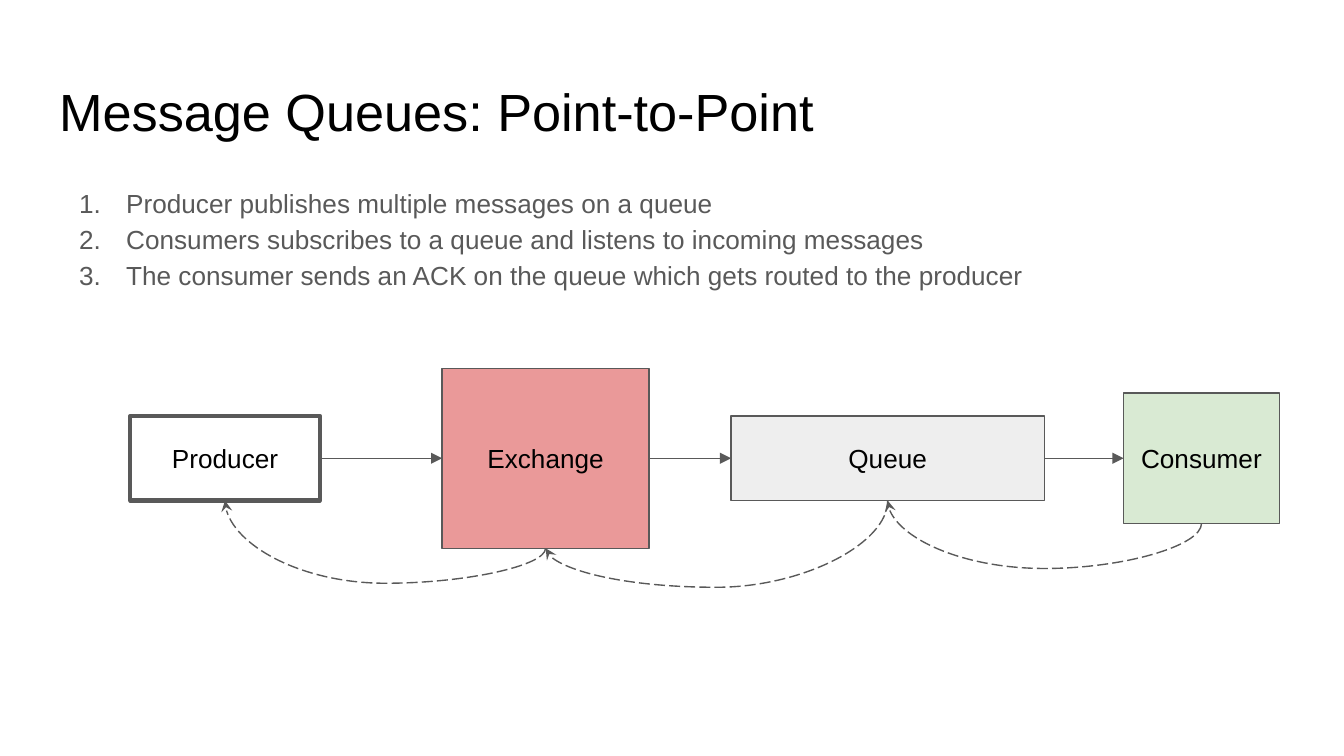
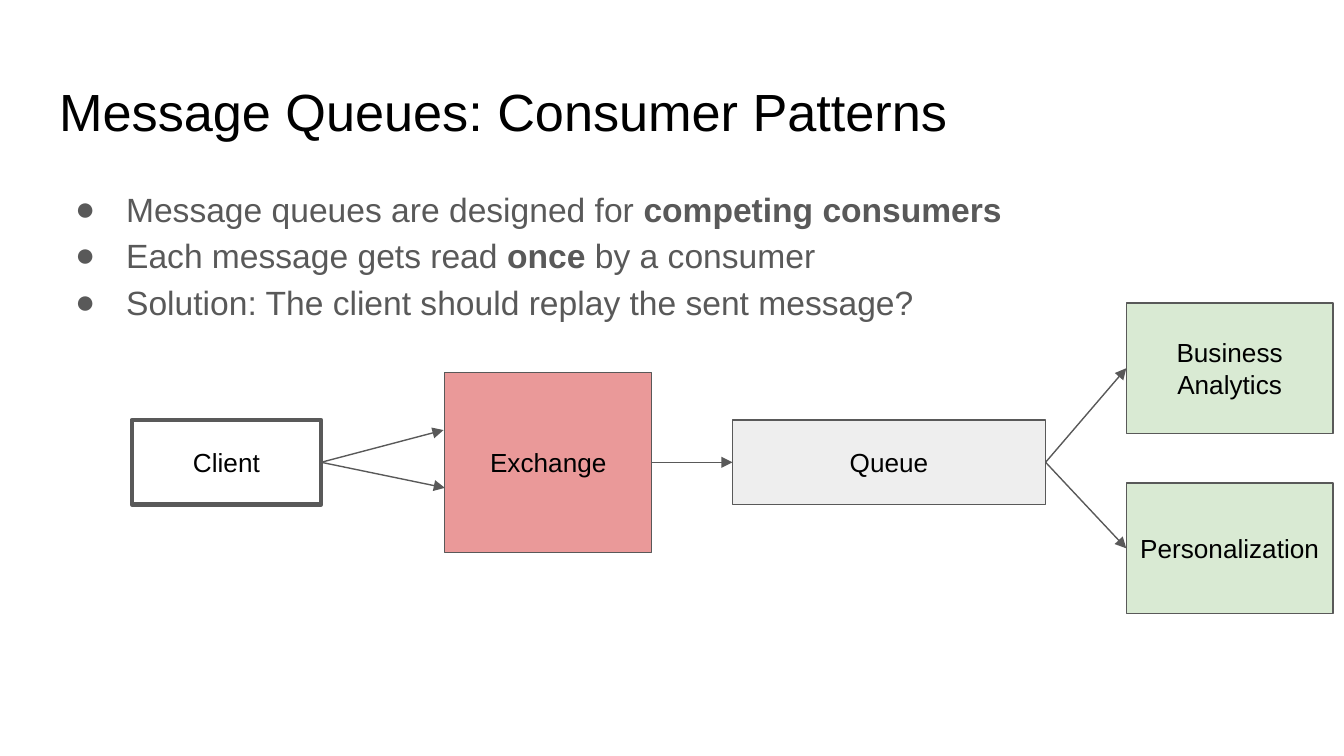
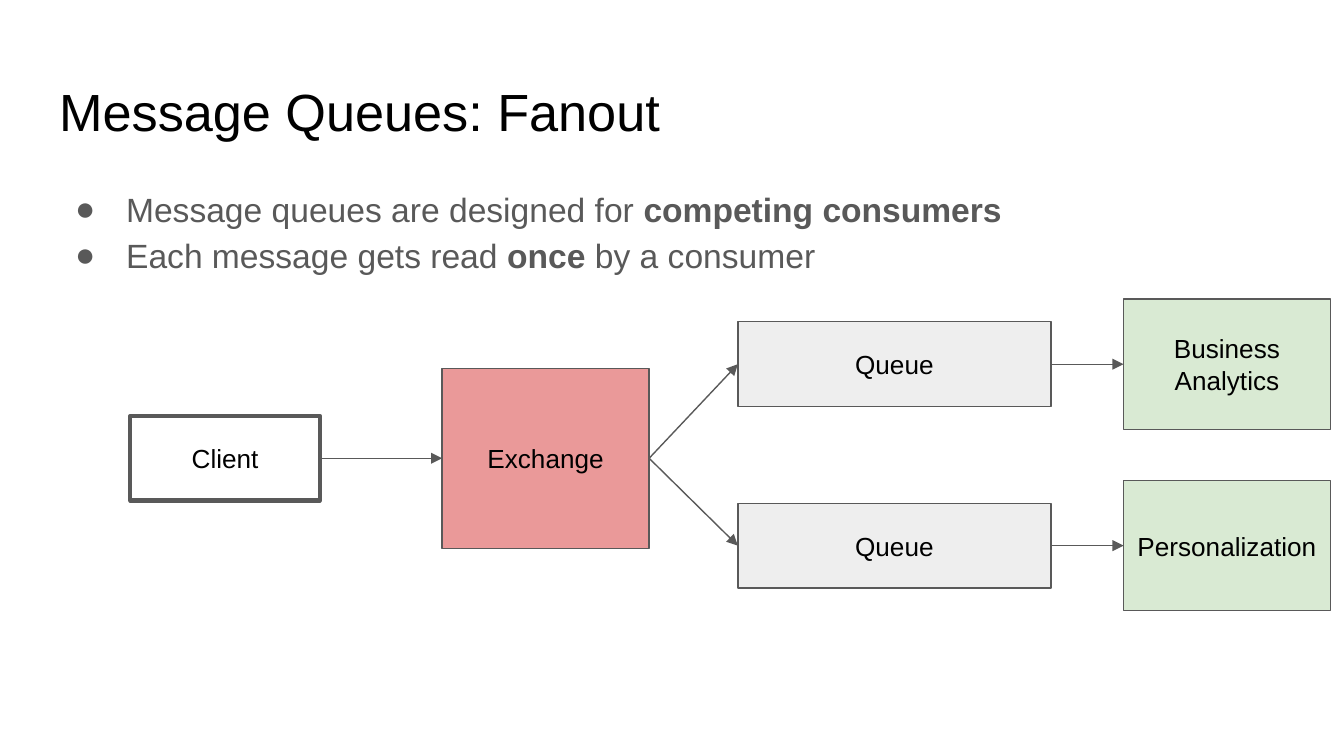
from lxml.etree import SubElement
from pptx import Presentation
from pptx.dml.color import RGBColor
from pptx.enum.dml import MSO_LINE
from pptx.enum.shapes import MSO_CONNECTOR as CONN, MSO_SHAPE
from pptx.enum.text import MSO_ANCHOR, MSO_AUTO_SIZE, PP_ALIGN
from pptx.oxml.ns import qn
from pptx.util import Inches, Pt

FONT = "Arial"
BLACK = RGBColor(0x00, 0x00, 0x00)
WHITE = RGBColor(0xFF, 0xFF, 0xFF)
GREY = RGBColor(0x59, 0x59, 0x59)
LIGHT = RGBColor(0xEE, 0xEE, 0xEE)
RED = RGBColor(0xEA, 0x99, 0x99)
GREEN = RGBColor(0xD9, 0xEA, 0xD3)

TOP, LEFT, BOTTOM, RIGHT = range(4)

# Width, height, fill and line width of each kind of box
CLIENT = (1.41, 0.63, WHITE, 2.25)
EXCHANGE = (1.54, 1.34, RED, 0.75)
QUEUE = (2.33, 0.63, LIGHT, 0.75)
CONSUMER = (1.16, 0.97, GREEN, 0.75)
WIDE_CONSUMER = (1.54, 0.97, GREEN, 0.75)

COMPETING = "Message queues are designed for **competing consumers**"
ONCE = "Each message gets read **once **by a consumer"
SERVICES = ("Business\nAnalytics", "Personalization")


class Deck:
    def __init__(self):
        self.prs = Presentation()
        # 16:9 page
        self.prs.slide_width = Inches(10)
        self.prs.slide_height = Inches(10) * 9 // 16
        self.slide = None

    def style(self, run, size, color, bold=False):
        font = run.font
        font.name, font.size, font.bold = FONT, Pt(size), bold
        font.color.rgb = color

    def frame(self, sp, anchor):
        tf = sp.text_frame
        tf.word_wrap, tf.auto_size = True, MSO_AUTO_SIZE.NONE
        tf.vertical_anchor = anchor
        tf.margin_left = tf.margin_right = Inches(0.1)
        tf.margin_top = tf.margin_bottom = Inches(0.1)
        return tf

    def new_slide(self, title):
        self.slide = self.prs.slides.add_slide(self.prs.slide_layouts[5])
        sp = self.slide.shapes.title
        sp.left, sp.top = Inches(0.34), Inches(0.49)
        sp.width, sp.height = Inches(9.32), Inches(0.63)
        tf = self.frame(sp, MSO_ANCHOR.TOP)
        tf.text = title
        p = tf.paragraphs[0]
        p.alignment = PP_ALIGN.LEFT
        self.style(p.runs[0], 28, BLACK)

    def bullets(self, lines, size=18, hang=0.38, numbered=False):
        """Add a list; text between ** marks is bold."""
        sp = self.slide.shapes.add_textbox(
            Inches(0.34), Inches(1.26), Inches(9.32), Inches(3.74))
        tf = self.frame(sp, MSO_ANCHOR.TOP)
        for i, line in enumerate(lines):
            p = tf.add_paragraph() if i else tf.paragraphs[0]
            p.line_spacing = 1.15
            for j, part in enumerate(line.split("**")):
                if part:
                    r = p.add_run()
                    r.text = part
                    self.style(r, size, GREY, bold=j % 2 == 1)
            pPr = p._p.get_or_add_pPr()
            pPr.set("marL", str(Inches(0.5)))
            pPr.set("indent", str(-Inches(hang)))
            clr = SubElement(pPr, qn("a:buClr"))
            SubElement(clr, qn("a:srgbClr"), val=str(GREY))
            SubElement(pPr, qn("a:buFont"), typeface=FONT)
            if numbered:
                SubElement(pPr, qn("a:buAutoNum"), type="arabicPeriod")
            else:
                SubElement(pPr, qn("a:buChar"), char="●")

    def box(self, text, kind, left, middle):
        width, height, fill, weight = kind
        sp = self.slide.shapes.add_shape(
            MSO_SHAPE.RECTANGLE, Inches(left), Inches(middle - height / 2),
            Inches(width), Inches(height))
        sp.shadow.inherit = False
        sp.fill.solid()
        sp.fill.fore_color.rgb = fill
        sp.line.color.rgb, sp.line.width = GREY, Pt(weight)
        tf = self.frame(sp, MSO_ANCHOR.MIDDLE)
        tf.text = text
        for p in tf.paragraphs:
            p.alignment = PP_ALIGN.CENTER
            self.style(p.runs[0], 14, BLACK)
        return sp

    def connector(self, kind, head, end=(0, 0), dash=None):
        x, y = Inches(end[0]), Inches(end[1])
        cx = self.slide.shapes.add_connector(kind, x, y, x, y)
        cx.line.color.rgb, cx.line.width = GREY, Pt(0.75)
        if dash:
            cx.line.dash_style = dash
        SubElement(cx.line._get_or_add_ln(), qn("a:tailEnd"), type=head)
        SubElement(cx._element.spPr, qn("a:effectLst"))
        return cx

    def arrow(self, start, target):
        """Arrow from a box's right side to another box or to a point."""
        to_point = isinstance(target, tuple)
        cx = self.connector(CONN.STRAIGHT, "triangle",
                            target if to_point else (0, 0))
        cx.begin_connect(start, RIGHT)
        if not to_point:
            cx.end_connect(target, LEFT)

    def ack(self, start, target, dip):
        """Dashed curve leftwards between two bottom sides, down to dip."""
        cx = self.connector(CONN.CURVE, "stealth", dash=MSO_LINE.LONG_DASH)
        cx.begin_connect(start, BOTTOM)
        cx.end_connect(target, BOTTOM)
        x1, y1, x2, y2 = cx.begin_x, cx.begin_y, cx.end_x, cx.end_y
        # A quarter turn swaps width and height about the same centre
        width, height = abs(y2 - y1), abs(x2 - x1)
        cx.left, cx.top = (x1 + x2 - width) // 2, (y1 + y2 - height) // 2
        cx.width, cx.height = width, height
        xfrm = cx._element.spPr.find(qn("a:xfrm"))
        xfrm.set("rot", "5400000")
        xfrm.set("flipH", "1" if y2 < y1 else "0")
        xfrm.set("flipV", "0")
        bend = round((Inches(dip) - y1) / (y2 - y1) * 100000)
        guides = cx._element.spPr.find(qn("a:prstGeom")).find(qn("a:avLst"))
        SubElement(guides, qn("a:gd"), name="adj1", fmla=f"val {bend}")


def point_to_point(deck):
    deck.new_slide("Message Queues: Point-to-Point")
    deck.bullets([
        "Producer publishes multiple messages on a queue",
        "Consumers subscribes to a queue and listens to incoming messages",
        "The consumer sends an ACK on the queue which gets routed to the producer",
    ], size=14, hang=0.35, numbered=True)
    row = 3.41
    chain = [deck.box("Producer", CLIENT, 0.97, row),
             deck.box("Exchange", EXCHANGE, 3.29, row),
             deck.box("Queue", QUEUE, 5.44, row),
             deck.box("Consumer", CONSUMER, 8.36, row)]
    for start, target, dip in zip(chain, chain[1:], (4.34, 4.37, 4.23)):
        deck.arrow(start, target)
        deck.ack(target, start, dip)


def consumer_patterns(deck):
    deck.new_slide("Message Queues: Consumer Patterns")
    deck.bullets([COMPETING, ONCE,
                  "Solution: The client should replay the sent message?"])
    row = 3.44
    client = deck.box("Client", CLIENT, 0.98, row)
    exchange = deck.box("Exchange", EXCHANGE, 3.31, row)
    queue = deck.box("Queue", QUEUE, 5.45, row)
    # The client sends the message twice
    for end in ((3.3, 3.2), (3.31, 3.63)):
        deck.arrow(client, end)
    deck.arrow(exchange, queue)
    for name, middle in zip(SERVICES, (2.74, 4.08)):
        deck.arrow(queue, deck.box(name, WIDE_CONSUMER, 8.38, middle))


def fanout(deck):
    deck.new_slide("Message Queues: Fanout")
    deck.bullets([COMPETING, ONCE])
    row = 3.41
    client = deck.box("Client", CLIENT, 0.97, row)
    exchange = deck.box("Exchange", EXCHANGE, 3.29, row)
    deck.arrow(client, exchange)
    # One queue for each consumer
    for name, middle in zip(SERVICES, (2.71, 4.06)):
        queue = deck.box("Queue", QUEUE, 5.49, middle)
        deck.arrow(exchange, queue)
        deck.arrow(queue, deck.box(name, WIDE_CONSUMER, 8.36, middle))


def main():
    deck = Deck()
    point_to_point(deck)
    consumer_patterns(deck)
    fanout(deck)
    deck.prs.save("out.pptx")


if __name__ == "__main__":
    main()
